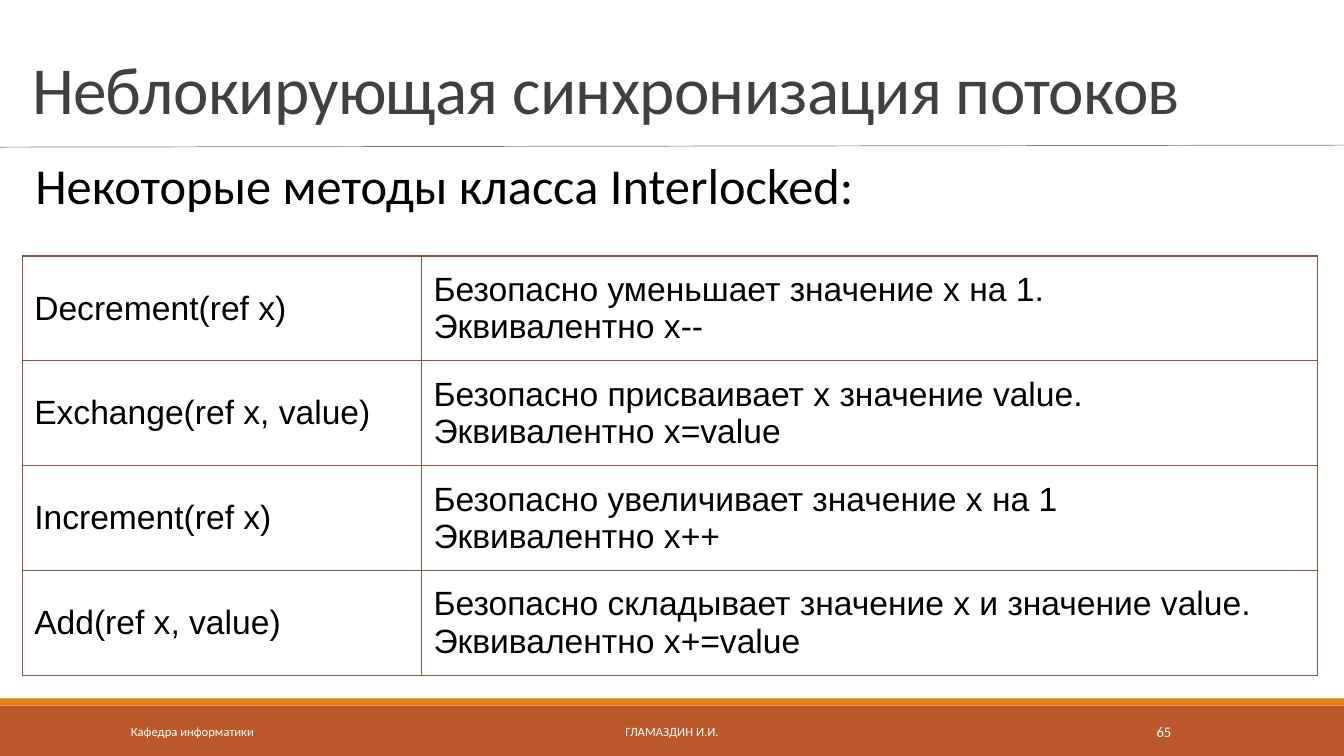
from lxml.etree import SubElement
from pptx import Presentation
from pptx.dml.color import RGBColor
from pptx.enum.shapes import MSO_CONNECTOR, MSO_SHAPE
from pptx.enum.text import MSO_ANCHOR, PP_ALIGN
from pptx.oxml.ns import qn
from pptx.util import Inches, Pt

RUST = RGBColor(0xBD, 0x58, 0x2C)
ORANGE = RGBColor(0xE4, 0x83, 0x12)
GRAY = RGBColor(0x80, 0x80, 0x80)
CHARCOAL = RGBColor(0x40, 0x40, 0x40)
BLACK = RGBColor(0, 0, 0)
WHITE = RGBColor(0xFF, 0xFF, 0xFF)
BORDER = RGBColor(0x86, 0x56, 0x40)

METHODS = [
    ("Decrement(ref x)", "Безопасно уменьшает значение x на 1.\nЭквивалентно x--"),
    ("Exchange(ref x, value)", "Безопасно присваивает x значение value.\nЭквивалентно x=value"),
    ("Increment(ref x)", "Безопасно увеличивает значение x на 1\nЭквивалентно x++"),
    ("Add(ref x, value)", "Безопасно складывает значение x и значение value. Эквивалентно x+=value"),
]


class SlideBuilder:
    heading_font = "Calibri"
    table_font = "Arial"

    def __init__(self, slide):
        self.slide = slide

    def format_text(self, frame, font, size, color, align=PP_ALIGN.LEFT, line_spacing=None, tracking=None):
        for paragraph in frame.paragraphs:
            paragraph.alignment = align
            if line_spacing:
                paragraph.line_spacing = line_spacing
            for run in paragraph.runs:
                run.font.name = font
                run.font.size = Pt(size)
                run.font.color.rgb = color
                if tracking:
                    run.font._element.set("spc", str(int(tracking * 100)))

    def band(self, top, height, color):
        band = self.slide.shapes.add_shape(
            MSO_SHAPE.RECTANGLE, 0, Inches(top), Inches(13.33), Inches(height))
        band.shadow.inherit = False
        band.fill.solid()
        band.fill.fore_color.rgb = color
        band.line.fill.background()

    def rule(self, start, end, color, width):
        rule = self.slide.shapes.add_connector(
            MSO_CONNECTOR.STRAIGHT, *map(Inches, start + end))
        rule.line.color.rgb = color
        rule.line.width = Pt(width)
        SubElement(rule._element.spPr, qn("a:effectLst"))

    def text(self, box, content, size, color, anchor=MSO_ANCHOR.MIDDLE, inset=0.1, **style):
        frame = self.slide.shapes.add_textbox(*map(Inches, box)).text_frame
        frame.word_wrap = True
        frame.vertical_anchor = anchor
        frame.margin_left = Inches(inset)
        frame.text = content
        self.format_text(frame, self.heading_font, size, color, **style)

    def border(self, cell):
        properties = cell._tc.get_or_add_tcPr()
        for position, side in enumerate(("a:lnL", "a:lnR", "a:lnT", "a:lnB")):
            line = properties.makeelement(qn(side), {"w": str(Pt(1))})
            fill = SubElement(line, qn("a:solidFill"))
            SubElement(fill, qn("a:srgbClr"), val=str(BORDER))
            properties.insert(position, line)

    def table(self, left, top, widths, row_height, rows):
        table = self.slide.shapes.add_table(
            len(rows), len(widths), Inches(left), Inches(top),
            Inches(sum(widths)), Inches(row_height * len(rows))).table
        table.first_row = False
        table.horz_banding = False
        for column, width in zip(table.columns, widths):
            column.width = Inches(width)
        for row, contents in zip(table.rows, rows):
            row.height = Inches(row_height)
            for cell, content in zip(row.cells, contents):
                cell.text_frame.text = content
                cell.vertical_anchor = MSO_ANCHOR.MIDDLE
                cell.margin_left = cell.margin_right = Inches(0.12)
                cell.margin_top = cell.margin_bottom = Inches(0.12)
                cell.fill.background()
                self.format_text(cell.text_frame, self.table_font, 24, BLACK)
                self.border(cell)


def main():
    presentation = Presentation()
    presentation.slide_width = Inches(13.33)
    presentation.slide_height = Inches(7.5)
    builder = SlideBuilder(presentation.slides.add_slide(presentation.slide_layouts[6]))

    builder.band(7, 0.5, RUST)
    builder.band(6.93, 0.07, ORANGE)
    builder.rule((0, 1.46), (13.33, 1.44), GRAY, 0.5)
    builder.text((0.22, 0.31, 12.89, 1.01), "Неблокирующая синхронизация потоков", 48, CHARCOAL,
                 anchor=MSO_ANCHOR.BOTTOM, line_spacing=0.85, tracking=-0.5)
    builder.text((0.22, 1.55, 12.89, 0.8), "Некоторые методы класса Interlocked:", 36, BLACK,
                 anchor=MSO_ANCHOR.TOP, inset=0.13, align=PP_ALIGN.JUSTIFY, line_spacing=0.9)
    builder.table(0.22, 2.54, (3.96, 8.89), 0.99, METHODS)
    builder.text((1.2, 7.06, 2.7, 0.4), "Кафедра информатики", 9, WHITE)
    builder.text((4.03, 7.06, 5.27, 0.4), "ГЛАМАЗДИН И.И.", 9, WHITE, align=PP_ALIGN.CENTER)
    builder.text((10.83, 7.06, 1.43, 0.4), "65", 10.5, WHITE, align=PP_ALIGN.CENTER)

    presentation.save("out.pptx")


if __name__ == "__main__":
    main()
